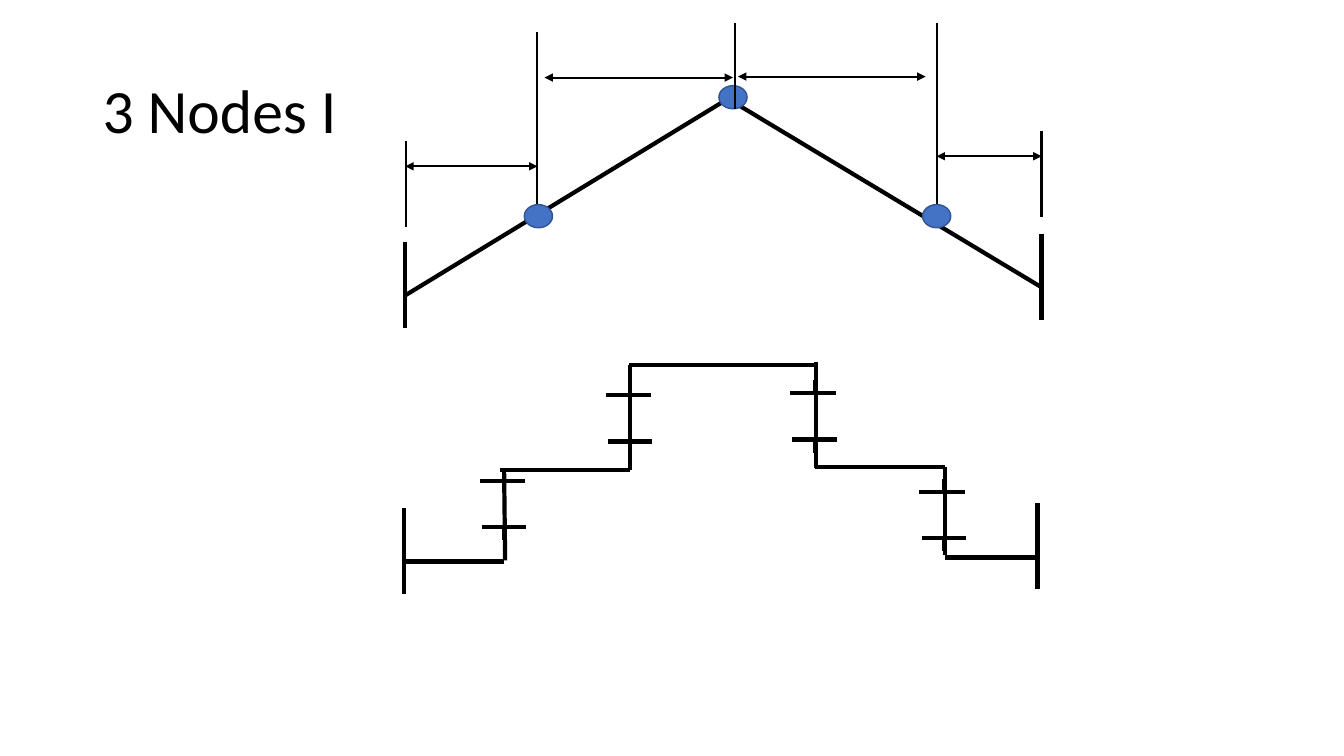
from pptx import Presentation
from pptx.dml.color import RGBColor
from pptx.enum import shapes, text
from pptx.oxml.ns import qn
from pptx.util import Inches, Pt
from lxml import etree

BLACK = RGBColor(0, 0, 0)
BLUE = RGBColor(0x44, 0x72, 0xC4)
NAVY = RGBColor(0x32, 0x54, 0x91)

WALLS = [(4.02, 2.4), (10.33, 2.32), (4.01, 5.04), (10.29, 4.99)]
SLOPES = [(7.22, 0.98, 4.02, 2.93), (10.33, 2.85, 7.22, 0.98)]
STEPS = [
    (4.01, 5.57, 5, 5.57), (5, 4.69, 5.01, 5.56), (4.96, 4.66, 6.25, 4.66),
    (6.25, 4.66, 6.25, 3.62), (6.24, 3.62, 8.08, 3.62), (8.09, 4.64, 8.09, 3.59),
    (8.08, 4.63, 9.37, 4.63), (9.37, 4.63, 9.37, 5.51), (9.37, 5.53, 10.29, 5.53),
]
BREAKS = [(5, 4.77), (6.25, 3.92), (8.08, 3.9), (9.36, 4.88)]
GUIDES = [(4.03, 1.4, 2.25), (5.33, 0.32, 2.25), (9.29, 0.23, 2.15), (10.33, 1.3, 2.15)]
NODES = [(7.13, 0.85), (5.2, 2.03), (9.15, 2.03)]
SPANS = [(4.02, 5.33, 1.65), (5.4, 7.27, 0.77), (7.32, 9.18, 0.76), (9.29, 10.33, 1.55)]


def line(slide, x1, y1, x2, y2, width=3, arrows=False):
    """Draw a black straight line, with arrowheads at both ends if asked."""
    ends = [Inches(v) for v in (x1, y1, x2, y2)]
    rule = slide.shapes.add_connector(shapes.MSO_CONNECTOR.STRAIGHT, *ends)
    rule.line.color.rgb = BLACK
    rule.line.width = Pt(width)
    if arrows:
        for tag in ("a:headEnd", "a:tailEnd"):
            etree.SubElement(rule.line._get_or_add_ln(), qn(tag), type="triangle")
    etree.SubElement(rule._element.spPr, qn("a:effectLst"))


def tick(slide, x, y):
    """Draw a pair of cross bars with short stubs outside them."""
    line(slide, x - 0.24, y, x + 0.21, y)
    line(slide, x - 0.22, y + 0.46, x + 0.22, y + 0.46)
    line(slide, x, y - 0.13, x, y - 0.01)
    line(slide, x, y + 0.47, x, y + 0.59)


def node(slide, x, y):
    """Draw a blue node."""
    dot = slide.shapes.add_shape(
        shapes.MSO_SHAPE.OVAL, Inches(x), Inches(y), Inches(0.28), Inches(0.23))
    dot.shadow.inherit = False
    dot.fill.solid()
    dot.fill.fore_color.rgb = BLUE
    dot.line.color.rgb = NAVY
    dot.line.width = Pt(1)


def title(slide, words):
    """Write the slide title."""
    box = slide.shapes.add_textbox(Inches(0.92), Inches(0.4), Inches(11.5), Inches(1.45))
    frame = box.text_frame
    frame.word_wrap = True
    frame.vertical_anchor = text.MSO_ANCHOR.MIDDLE
    para = frame.paragraphs[0]
    para.line_spacing = 0.9
    run = para.add_run()
    run.text = words
    for key, value in {"name": "Calibri", "size": Pt(44)}.items():
        setattr(run.font, key, value)
    run.font.color.rgb = BLACK


def main():
    """Build the slide and save it."""
    deck = Presentation()
    deck.slide_width, deck.slide_height = Inches(13.33), Inches(7.5)
    slide = deck.slides.add_slide(deck.slide_layouts[6])
    title(slide, "3 Nodes I")
    for x, top, base in GUIDES:
        line(slide, x, top, x, base, 1.5)
    for x, y in WALLS:
        line(slide, x, y, x, y + 0.85)
    for ends in SLOPES + STEPS:
        line(slide, *ends)
    for spot in BREAKS:
        tick(slide, *spot)
    for spot in NODES:
        node(slide, *spot)
    line(slide, 7.29, 0.23, 7.29, 1.08, 1.5)
    for left, right, y in SPANS:
        line(slide, left, y, right, y, 1.5, True)
    deck.save("out.pptx")


if __name__ == "__main__":
    main()
